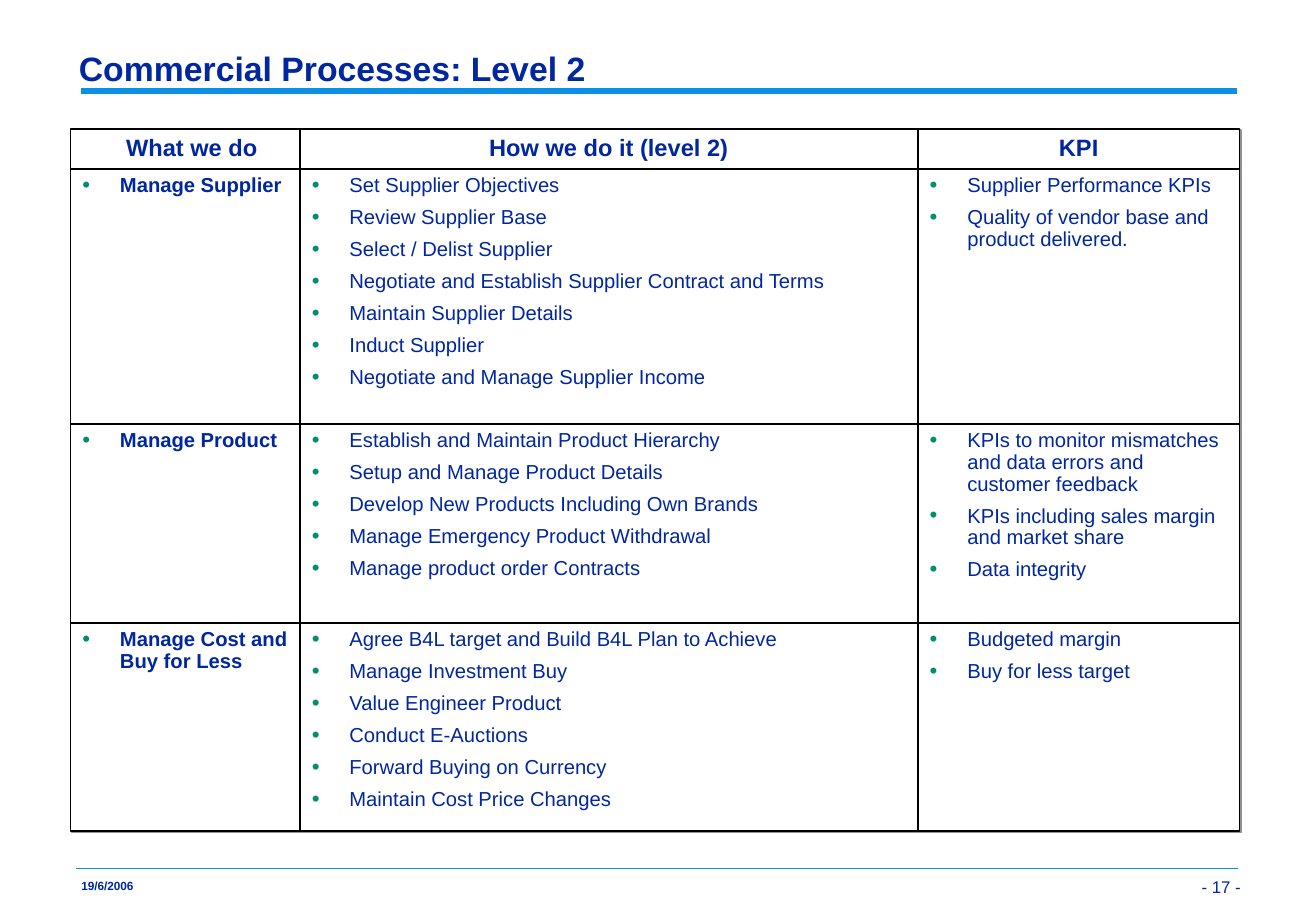
"""Build the commercial processes slide: a ruled title, a grid of process cells and a footer."""
from dataclasses import dataclass

from lxml.etree import SubElement
from pptx import Presentation
from pptx.dml.color import RGBColor
from pptx.enum.shapes import MSO_CONNECTOR as Connector, MSO_SHAPE as Shape
from pptx.enum.text import MSO_ANCHOR as Anchor, PP_ALIGN as Align
from pptx.oxml.ns import qn
from pptx.util import Inches, Pt

NAVY = RGBColor(0x00, 0x27, 0x9F)
BLUE = RGBColor(0x0A, 0x91, 0xE6)
GREEN = RGBColor(0x00, 0x8F, 0x6D)
GREY = RGBColor(0x91, 0x91, 0x91)
BLACK = RGBColor(0x00, 0x00, 0x00)
WHITE = RGBColor(0xFF, 0xFF, 0xFF)

FONT = "Arial"
COLUMN_EDGES = (0.58, 2.47, 7.56, 10.21)
ROW_EDGES = (1.06, 1.39, 3.49, 5.13, 6.84)
HEADER_OVERLAP = (0.11, 0, 0)
BULLET_INDENT = 0.31


@dataclass(frozen=True)
class TextStyle:
    size: float
    bold: bool = False
    align: Align = Align.LEFT
    anchor: Anchor = Anchor.TOP
    spacing: float = 0.9
    space_before: float = 0
    margins: tuple[float, float] = (0.1, 0.05)
    bullet: bool = False
    wrap: bool = True


@dataclass(frozen=True)
class Label:
    text: str
    box: tuple[float, float, float, float]
    style: TextStyle


@dataclass(frozen=True)
class Rule:
    left: float
    right: float
    top: float
    weight: float


@dataclass(frozen=True)
class Process:
    name: str
    steps: tuple[str, ...]
    measures: tuple[str, ...]


HEADER = TextStyle(14, bold=True, align=Align.CENTER, anchor=Anchor.MIDDLE)
BODY = TextStyle(12, space_before=6, bullet=True)
NAME = TextStyle(12, bold=True, space_before=6, bullet=True)
COLUMN_STYLES = (NAME, BODY, BODY)

RULES = (Rule(0.67, 10.19, 0.75, 4), Rule(0.63, 10.2, 7.15, 1))
LABELS = (
    Label("- 17 -", (9.69, 7.02, 0.6, 0.39),
          TextStyle(10, align=Align.RIGHT, anchor=Anchor.BOTTOM, spacing=1, margins=(0.07, 0.03))),
    Label("19/6/2006", (0.67, 7.25, 0.43, 0.11),
          TextStyle(7, bold=True, margins=(0, 0), wrap=False)),
    Label("Commercial Processes: Level 2", (0.58, 0.33, 9.63, 0.44),
          TextStyle(20, bold=True, anchor=Anchor.BOTTOM, spacing=0.97, margins=(0.07, 0.03))),
)
HEADINGS = ("What we do", "How we do it (level 2)", "KPI")
PROCESSES = (
    Process("Manage Supplier",
            ("Set Supplier Objectives", "Review Supplier Base", "Select / Delist Supplier",
             "Negotiate and Establish Supplier Contract and Terms", "Maintain Supplier Details",
             "Induct Supplier", "Negotiate and Manage Supplier Income"),
            ("Supplier Performance KPIs", "Quality of vendor base and product delivered.")),
    Process("Manage Product",
            ("Establish and Maintain Product Hierarchy", "Setup and Manage Product Details",
             "Develop New Products Including Own Brands", "Manage Emergency Product Withdrawal",
             "Manage product order Contracts"),
            ("KPIs to monitor mismatches and data errors and customer feedback",
             "KPIs including sales margin and market share", "Data integrity")),
    Process("Manage Cost and Buy for Less",
            ("Agree B4L target and Build B4L Plan to Achieve", "Manage Investment Buy",
             "Value Engineer Product", "Conduct E-Auctions", "Forward Buying on Currency",
             "Maintain Cost Price Changes"),
            ("Budgeted margin", "Buy for less target")),
)


def add_bullet(paragraph) -> None:
    properties = paragraph._p.get_or_add_pPr()
    properties.set("marL", str(Inches(BULLET_INDENT)))
    properties.set("indent", str(-Inches(BULLET_INDENT)))
    colour = SubElement(properties, qn("a:buClr"))
    SubElement(colour, qn("a:srgbClr"), val=str(GREEN))
    SubElement(properties, qn("a:buSzPct"), val="110000")
    SubElement(properties, qn("a:buFont"), typeface=FONT)
    SubElement(properties, qn("a:buChar"), char="•")


def write_text(shape, lines: tuple[str, ...], style: TextStyle) -> None:
    frame = shape.text_frame
    frame.word_wrap = style.wrap
    frame.vertical_anchor = style.anchor
    frame.margin_left = frame.margin_right = Inches(style.margins[0])
    frame.margin_top = frame.margin_bottom = Inches(style.margins[1])
    for index, line in enumerate(lines):
        paragraph = frame.add_paragraph() if index else frame.paragraphs[0]
        if style.bullet:
            add_bullet(paragraph)
        paragraph.alignment = style.align
        paragraph.line_spacing = style.spacing
        paragraph.space_before = Pt(style.space_before if index else 0)
        run = paragraph.add_run()
        run.text = line
        run.font.name = FONT
        run.font.size = Pt(style.size)
        run.font.bold = style.bold
        run.font.color.rgb = NAVY


def add_rule(slide, rule: Rule) -> None:
    top = Inches(rule.top)
    connector = slide.shapes.add_connector(
        Connector.STRAIGHT, Inches(rule.left), top, Inches(rule.right), top)
    connector.line.color.rgb = BLUE
    connector.line.width = Pt(rule.weight)
    SubElement(connector._element.spPr, qn("a:effectLst"))


def add_label(slide, label: Label) -> None:
    shape = slide.shapes.add_textbox(*map(Inches, label.box))
    write_text(shape, (label.text,), label.style)


def add_cell(slide, row: int, column: int, lines: tuple[str, ...],
             style: TextStyle, overlap: float = 0) -> None:
    left, right = COLUMN_EDGES[column:column + 2]
    top, bottom = ROW_EDGES[row:row + 2]
    shape = slide.shapes.add_shape(
        Shape.RECTANGLE, Inches(left), Inches(top),
        Inches(right - left + overlap), Inches(bottom - top))
    shape.fill.solid()
    shape.fill.fore_color.rgb = WHITE
    shape.line.color.rgb = BLACK
    shape.line.width = Pt(1)
    shape.shadow.inherit = False
    effects = shape._element.spPr.find(qn("a:effectLst"))
    shadow = SubElement(effects, qn("a:outerShdw"), blurRad="0", dist=str(Pt(1.4)),
                        dir="2700000", algn="ctr", rotWithShape="0")
    SubElement(shadow, qn("a:srgbClr"), val=str(GREY))
    write_text(shape, lines, style)


def main() -> None:
    presentation = Presentation()
    presentation.slide_width = Inches(10.84)
    presentation.slide_height = Inches(7.5)
    slide = presentation.slides.add_slide(presentation.slide_layouts[6])
    for rule in RULES:
        add_rule(slide, rule)
    for label in LABELS:
        add_label(slide, label)
    for column, heading in enumerate(HEADINGS):
        add_cell(slide, 0, column, (heading,), HEADER, HEADER_OVERLAP[column])
    for row, process in enumerate(PROCESSES, start=1):
        contents = ((process.name,), process.steps, process.measures)
        for column, (lines, style) in enumerate(zip(contents, COLUMN_STYLES)):
            add_cell(slide, row, column, lines, style)
    presentation.save("out.pptx")


if __name__ == "__main__":
    main()
